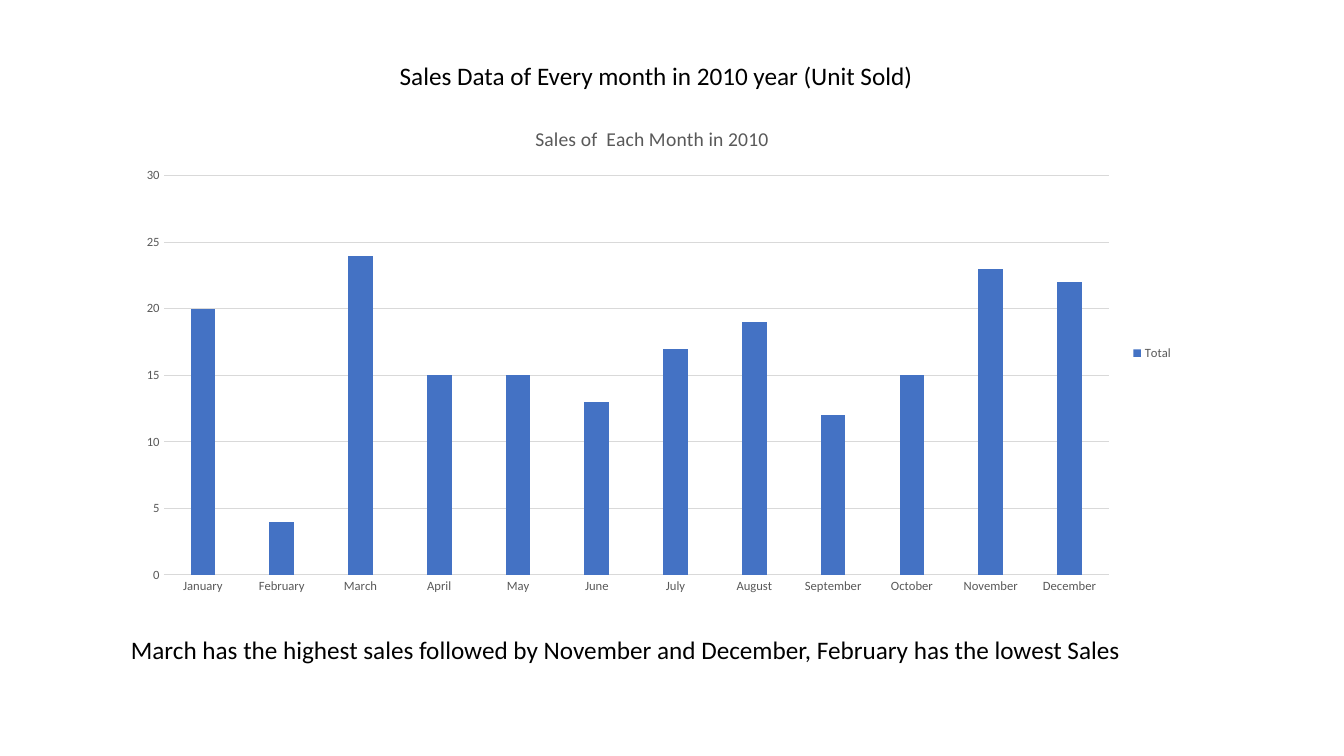
from dataclasses import dataclass

from lxml import etree
from pptx import Presentation
from pptx import util as u
from pptx.chart.data import CategoryChartData
from pptx.dml.color import RGBColor
from pptx.enum import chart as ch, text
from pptx.oxml.ns import qn

COLORS = {"text": "000000", "label": "595959", "rule": "D9D9D9", "bar": "4472C4"}
FONT = "Calibri"
SALES = {
    "January": 20, "February": 4, "March": 24, "April": 15,
    "May": 15, "June": 13, "July": 17, "August": 19,
    "September": 12, "October": 15, "November": 23, "December": 22,
}


@dataclass
class Box:
    left: float
    top: float
    width: float
    height: float

    def lengths(self) -> tuple:
        return tuple(u.Cm(v) for v in (self.left, self.top, self.width, self.height))


@dataclass
class Line:
    words: str
    box: Box
    align: text.PP_ALIGN


TITLE = Line("Sales Data of Every month in 2010 year (Unit Sold)",
             Box(8.66, 1.4, 15.75, 1.02), text.PP_ALIGN.CENTER)
CAPTION = Line("March has the highest sales followed by November and December, "
               "February has the lowest Sales",
               Box(3.05, 15.85, 27.94, 1.02), text.PP_ALIGN.LEFT)
CHART_BOX = Box(3.05, 2.69, 26.77, 12.42)
PLOT_AREA = {"x": 0.04, "y": 0.14, "w": 0.89, "h": 0.81}  # shares of the chart


def color(name: str) -> RGBColor:
    return RGBColor.from_string(COLORS[name])


def set_font(font, size: float, name: str) -> None:
    font.name, font.size, font.bold = FONT, u.Pt(size), False
    font.color.rgb = color(name)


def set_rule(line) -> None:
    line.color.rgb = color("rule")
    line.width = u.Pt(0.75)


def write_line(sp, line: Line) -> None:
    sp.left, sp.top, sp.width, sp.height = line.box.lengths()
    tf = sp.text_frame
    tf.word_wrap = True
    tf.auto_size = text.MSO_AUTO_SIZE.SHAPE_TO_FIT_TEXT
    tf.vertical_anchor = text.MSO_ANCHOR.TOP
    p = tf.paragraphs[0]
    p.text, p.alignment = line.words, line.align
    set_font(p.font, 18, "text")


def place_plot(chart) -> None:
    area = chart._chartSpace.find(".//" + qn("c:plotArea"))
    for old in area.findall(qn("c:layout")):
        area.remove(old)
    layout = etree.Element(qn("c:layout"))
    manual = etree.SubElement(layout, qn("c:manualLayout"))
    settings = {"layoutTarget": "inner", "xMode": "edge", "yMode": "edge", **PLOT_AREA}
    for tag, value in settings.items():
        etree.SubElement(manual, qn(f"c:{tag}")).set("val", str(value))
    area.insert(0, layout)


def add_sales_chart(s) -> None:
    data = CategoryChartData()
    data.categories = list(SALES)
    data.add_series("Total", list(SALES.values()))
    chart = s.shapes.add_chart(ch.XL_CHART_TYPE.COLUMN_CLUSTERED,
                               *CHART_BOX.lengths(), data).chart
    set_font(chart.font, 10, "text")

    # Chart title and legend
    p = chart.chart_title.text_frame.paragraphs[0]
    p.text = "Sales of  Each Month in 2010"
    set_font(p.font, 14, "label")
    chart.has_legend = True
    chart.legend.position = ch.XL_LEGEND_POSITION.RIGHT
    chart.legend.include_in_layout = False
    set_font(chart.legend.font, 9, "label")

    # Axes
    months, units = chart.category_axis, chart.value_axis
    for axis in (months, units):
        axis.major_tick_mark = axis.minor_tick_mark = ch.XL_TICK_MARK.NONE
        set_font(axis.tick_labels.font, 9, "label")
    set_rule(months.format.line)
    units.format.line.fill.background()
    units.minimum_scale, units.maximum_scale, units.major_unit = 0, 30, 5
    set_rule(units.major_gridlines.format.line)

    # Columns
    plot = chart.plots[0]
    plot.gap_width, plot.overlap, plot.vary_by_categories = 219, -27, False
    fill = plot.series[0].format.fill
    fill.solid()
    fill.fore_color.rgb = color("bar")
    place_plot(chart)


def main() -> None:
    prs = Presentation()
    prs.slide_width, prs.slide_height = u.Cm(33.87), u.Cm(19.05)
    s = prs.slides.add_slide(prs.slide_layouts[5])
    write_line(s.shapes.title, TITLE)
    add_sales_chart(s)
    write_line(s.shapes.add_textbox(*CAPTION.box.lengths()), CAPTION)
    prs.save("out.pptx")


if __name__ == "__main__":
    main()
